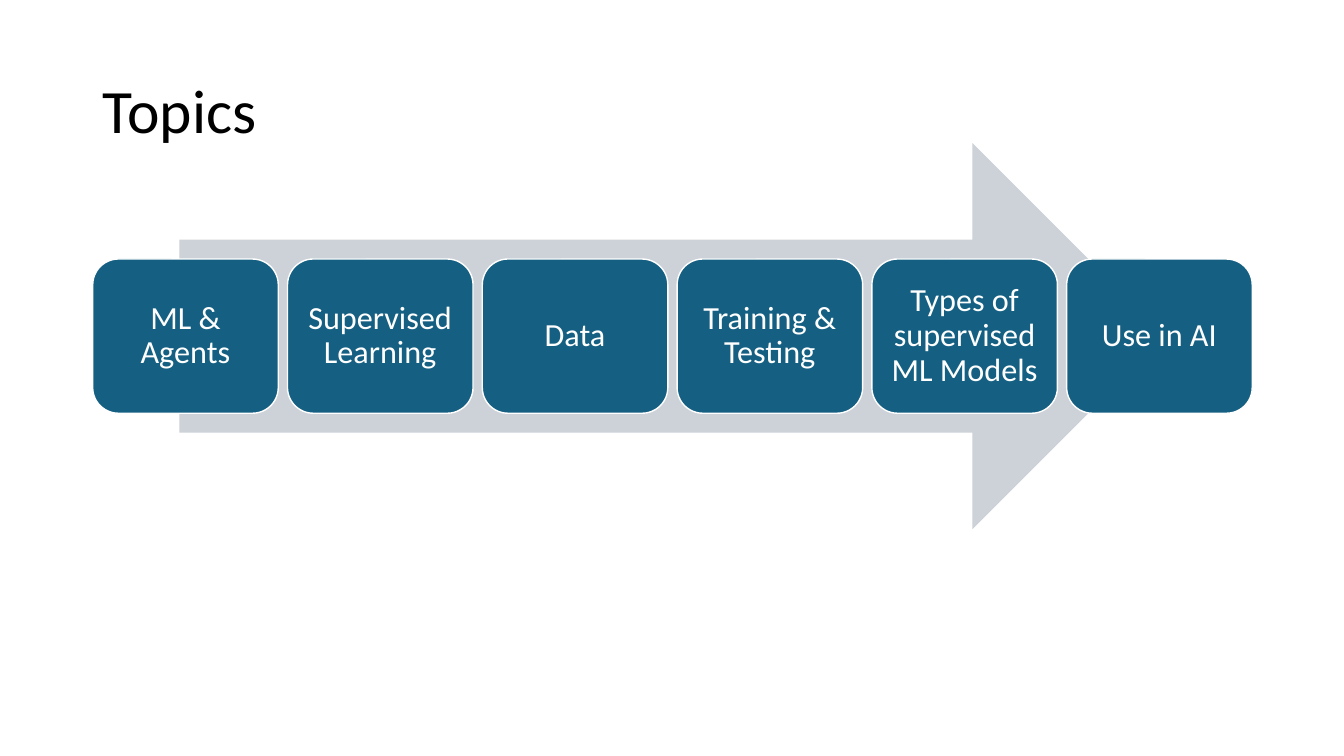
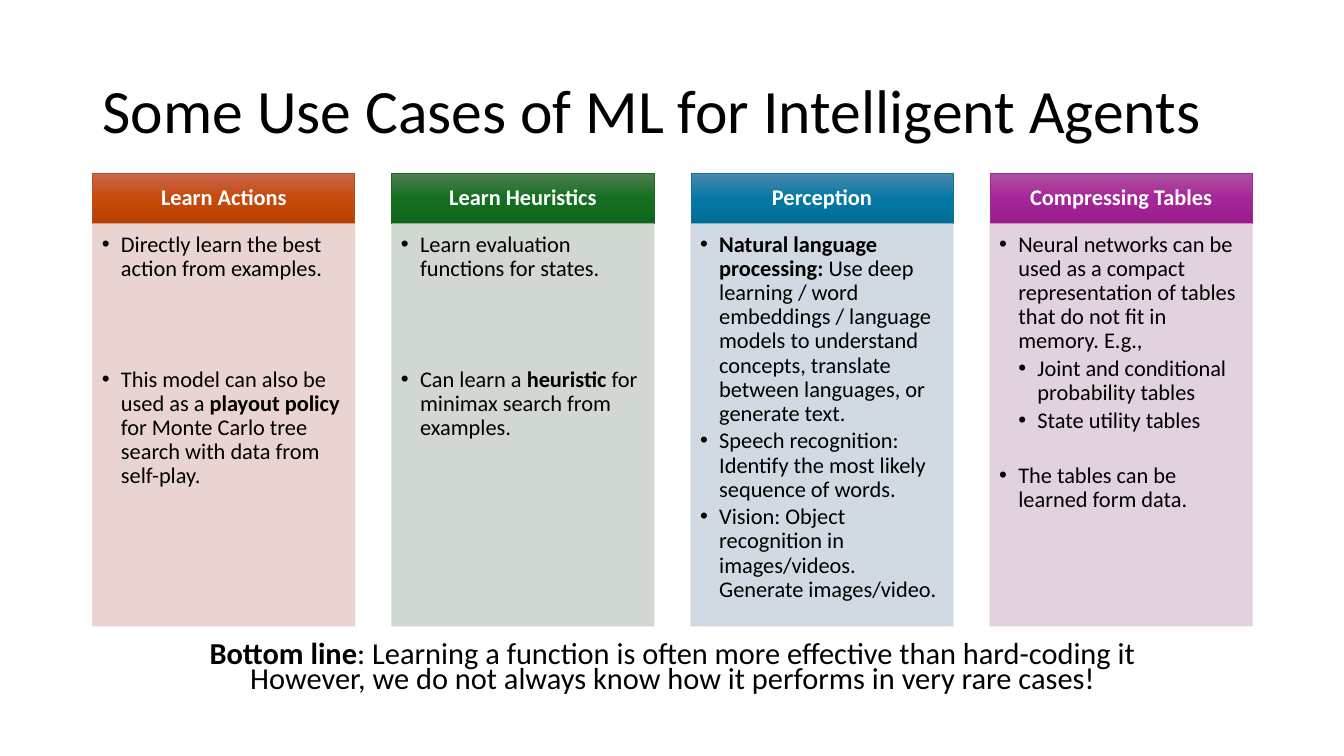
import copy
from dataclasses import dataclass

import lxml.etree
import pptx
import pptx.dml.color
import pptx.enum.shapes
import pptx.enum.text
import pptx.oxml.ns
import pptx.util

Inches = pptx.util.Inches
Pt = pptx.util.Pt
RGBColor = pptx.dml.color.RGBColor
qn = pptx.oxml.ns.qn
Shape = pptx.enum.shapes.MSO_SHAPE
Align = pptx.enum.text.PP_ALIGN
Anchor = pptx.enum.text.MSO_ANCHOR


@dataclass(frozen=True)
class Theme:
    font: str = "Calibri"
    text: str = "000000"
    inverse: str = "FFFFFF"
    topic: str = "156082"
    arrow: str = "CCD2D8"
    title_size: float = 44
    topic_size: float = 23
    summary_size: float = 21.7
    column_size: float = 16
    left: float = 0.92
    width: float = 11.5
    indent: float = 0.19


theme = Theme()


def write(shape, paragraphs, size, color, insets=(0.1, 0.05, 0.1, 0.05),
          anchor=Anchor.MIDDLE, align=Align.LEFT, line_spacing=0.9):
    """Write (text, bullet level, space before) items; ** marks bold, a newline breaks the line."""
    frame = shape.text_frame
    frame_format = {"word_wrap": True, "vertical_anchor": anchor}
    sides = ("margin_left", "margin_top", "margin_right", "margin_bottom")
    frame_format.update(zip(sides, map(Inches, insets)))
    for name, value in frame_format.items():
        setattr(frame, name, value)

    for index, (text, level, space_before) in enumerate(paragraphs):
        paragraph = frame.add_paragraph() if index else frame.paragraphs[0]
        if level:
            properties = paragraph._p.get_or_add_pPr()
            properties.set("marL", str(Inches(theme.indent * level)))
            properties.set("indent", str(-Inches(theme.indent)))
            lxml.etree.SubElement(properties, qn("a:buFont"), typeface="Arial")
            lxml.etree.SubElement(properties, qn("a:buChar"), char="•")
        paragraph_format = {"alignment": align, "line_spacing": line_spacing,
                            "space_before": Pt(space_before), "space_after": Pt(0)}
        for name, value in paragraph_format.items():
            setattr(paragraph, name, value)
        for part, span in enumerate(text.split("**")):
            for line, words in enumerate(span.split("\n")):
                if line:
                    paragraph.add_line_break()
                if not words:
                    continue
                run = paragraph.add_run()
                run.text = words
                run_format = {"name": theme.font, "size": Pt(size), "bold": part % 2 == 1}
                for name, value in run_format.items():
                    setattr(run.font, name, value)
                run.font.color.rgb = RGBColor.from_string(color)


def add_panel(slide, kind, box, fill, line=None, line_width=0.5):
    """Add a preset shape; a list of three fill colours makes a top-to-bottom gradient."""
    shape = slide.shapes.add_shape(kind, *map(Inches, box))
    shape.shadow.inherit = False
    if isinstance(fill, list):
        shape.fill.gradient()
        shape.fill.gradient_angle = 270
        first_stop = shape.fill.gradient_stops[0]._gs
        first_stop.addnext(copy.deepcopy(first_stop))
        for stop, position, color in zip(shape.fill.gradient_stops, (0, 0.5, 1), fill):
            stop.color.rgb = RGBColor.from_string(color)
            stop.position = position
    else:
        shape.fill.solid()
        shape.fill.fore_color.rgb = RGBColor.from_string(fill)
    if line:
        shape.line.color.rgb = RGBColor.from_string(line)
        shape.line.width = Pt(line_width)
    else:
        shape.line.fill.background()
    return shape


presentation = pptx.Presentation()
presentation.slide_width = Inches(13.33)
presentation.slide_height = Inches(7.5)

slides = []
for title in ("Topics", "Some Use Cases of ML for Intelligent Agents"):
    slide = presentation.slides.add_slide(presentation.slide_layouts[6])
    title_box = slide.shapes.add_textbox(
        *map(Inches, (theme.left, 0.4, theme.width, 1.45)))
    write(title_box, [(title, 0, 0)], theme.title_size, theme.text)
    slides.append(slide)
topics_slide, cases_slide = slides

# Topics: a row of boxes on a wide arrow
topics = ["ML & Agents", "Supervised Learning", "Data", "Training & Testing",
          "Types of supervised ML Models", "Use in AI"]
add_panel(topics_slide, Shape.RIGHT_ARROW, (1.78, 1.42, 9.78, 3.83), theme.arrow)
topic_width = 1.84
topic_pitch = (theme.width - topic_width) / (len(topics) - 1)
for index, topic in enumerate(topics):
    box = (theme.left + index * topic_pitch, 2.57, topic_width, 1.53)
    panel = add_panel(topics_slide, Shape.ROUNDED_RECTANGLE, box,
                      theme.topic, theme.inverse, 1)
    write(panel, [(topic, 0, 0)], theme.topic_size, theme.inverse,
          insets=(0.1, 0.1, 0.1, 0.1), align=Align.CENTER)

# Use cases: heading, gradient, heading line, body fill, paragraphs
columns = [
    ("Learn Actions", ["C9664C", "C64A0B", "B83F03"], "BE4D14", "E8D0CC", [
        ("Directly learn the best action from examples.", 1, 0),
        ("This model can also be used as a **playout policy** for Monte Carlo tree "
         "search with data from self-play.", 1, 62)]),
    ("Learn Heuristics", ["4D7E50", "156F21", "0F661B"], "196B24", "CCD4CD", [
        ("Learn evaluation functions for states.", 1, 0),
        ("Can learn a **heuristic** for minimax search from examples.", 1, 62)]),
    ("Perception", ["4B87AC", "0479A6", "006D97"], "0B769F", "CCD6DF", [
        ("**Natural language processing:** Use deep learning / word embeddings / "
         "language models to understand concepts, translate between languages, "
         "or generate text.", 1, 0),
        ("Speech recognition: Identify the most likely sequence of words.", 1, 2.4),
        ("Vision: Object recognition in images/videos. Generate images/video.", 1, 2.4)]),
    ("Compressing Tables", ["AC53A0", "A62598", "991C8B"], "A02B93", "DFCDDC", [
        ("Neural networks can be used as a compact representation of tables "
         "that do not fit in memory. E.g.,", 1, 0),
        ("Joint and conditional probability tables", 2, 2.4),
        ("State utility tables", 2, 2.4),
        ("The tables can be learned form data.", 1, 22)]),
]
column_width = 2.6
column_pitch = (theme.width - column_width) / (len(columns) - 1)
for index, (heading, gradient, heading_line, body_fill, paragraphs) in enumerate(columns):
    left = theme.left + index * column_pitch
    header = add_panel(cases_slide, Shape.RECTANGLE, (left, 1.72, column_width, 0.5),
                       gradient, heading_line)
    write(header, [(f"**{heading}**", 0, 0)], theme.column_size, theme.inverse,
          insets=(0.12, 0.07, 0.12, 0.07), align=Align.CENTER)
    body = add_panel(cases_slide, Shape.RECTANGLE, (left, 2.22, column_width, 3.99),
                     body_fill, body_fill)
    for color in body._element.spPr.iter(qn("a:srgbClr")):
        lxml.etree.SubElement(color, qn("a:alpha"), val="90000")
    write(body, paragraphs, theme.column_size, theme.text,
          insets=(0.09, 0.09, 0.12, 0.14), anchor=Anchor.TOP)

summary = cases_slide.shapes.add_textbox(
    *map(Inches, (theme.left, 6.34, theme.width, 0.67)))
write(summary, [("**Bottom line**: Learning a function is often more effective than "
                 "hard-coding it\nHowever, we do not always know how it performs in "
                 "very rare cases!", 0, 0)],
      theme.summary_size, theme.text, anchor=Anchor.TOP, align=Align.CENTER,
      line_spacing=0.7)

presentation.save("out.pptx")
